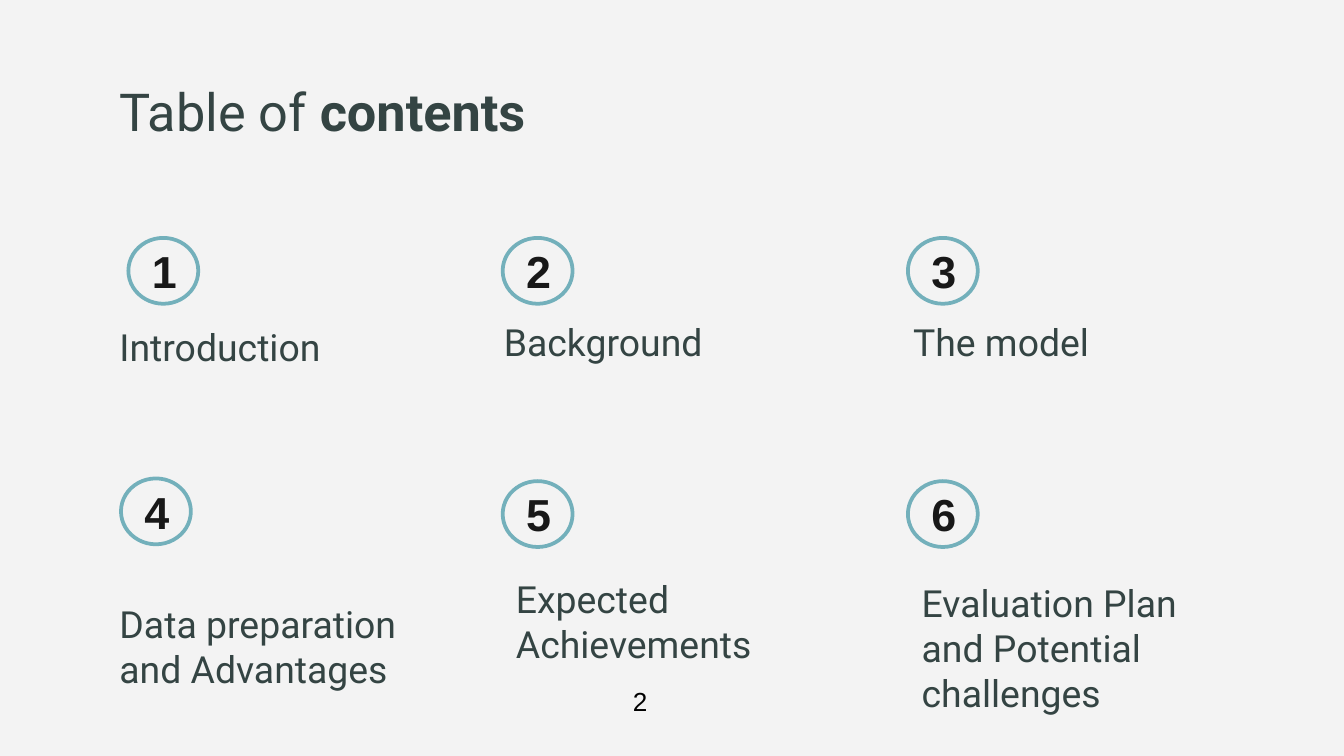
from dataclasses import dataclass

from pptx import Presentation
from pptx.dml.color import RGBColor
from pptx.enum.shapes import MSO_SHAPE as SHAPE
from pptx.enum.text import MSO_ANCHOR as ANCHOR, MSO_AUTO_SIZE as AUTO, PP_ALIGN as ALIGN
from pptx.util import Emu, Pt

PX = 4572


@dataclass(frozen=True)
class Theme:
    back: str = "F3F3F3"
    text: str = "344443"
    ring: str = "73B0BB"
    number: str = "181818"
    page: str = "000000"
    font: str = "Roboto"
    number_font: str = "Arial"
    title_size: int = 28
    label_size: int = 20
    number_size: int = 24
    page_size: int = 14
    ring_width: int = 2


def rgb(value):
    return RGBColor.from_string(value)


def px(*values):
    return [Emu(v * PX) for v in values]


def add_run(p, text, *, font, size, color, bold=False):
    r = p.add_run()
    r.text = text
    r.font.name, r.font.size, r.font.bold = font, Pt(size), bold
    r.font.color.rgb = rgb(color)


class Deck:
    def __init__(self, theme, width, height):
        self.theme = theme
        self.prs = Presentation()
        self.prs.slide_width, self.prs.slide_height = px(width, height)
        self.s = self.prs.slides.add_slide(self.prs.slide_layouts[5])
        fill = self.s.background.fill
        fill.solid()
        fill.fore_color.rgb = rgb(theme.back)

    def frame(self, sp, anchor, inset=20):
        tf = sp.text_frame
        tf.word_wrap, tf.auto_size, tf.vertical_anchor = True, AUTO.NONE, anchor
        tf.margin_left, tf.margin_right, tf.margin_top, tf.margin_bottom = px(20, 20, inset, inset)
        return tf

    def title(self, box, *parts):
        t, sp = self.theme, self.s.shapes.title
        sp.left, sp.top, sp.width, sp.height = px(*box)
        p = self.frame(sp, ANCHOR.TOP).paragraphs[0]
        p.alignment = ALIGN.LEFT
        for text, bold in parts:
            add_run(p, text, font=t.font, size=t.title_size, color=t.text, bold=bold)

    def label(self, box, text):
        t = self.theme
        tf = self.frame(self.s.shapes.add_textbox(*px(*box)), ANCHOR.BOTTOM)
        for i, line in enumerate(text.split("\n")):
            p = tf.add_paragraph() if i else tf.paragraphs[0]
            add_run(p, line, font=t.font, size=t.label_size, color=t.text)

    def badge(self, x, y, number):
        t = self.theme
        sp = self.s.shapes.add_shape(SHAPE.OVAL, *px(x, y, 104, 98))
        sp.shadow.inherit = False
        sp.fill.solid()
        sp.fill.fore_color.rgb = rgb(t.back)
        sp.line.color.rgb, sp.line.width = rgb(t.ring), Pt(t.ring_width)
        p = self.frame(sp, ANCHOR.MIDDLE, 10).paragraphs[0]
        p.alignment = ALIGN.CENTER
        add_run(p, str(number), font=t.number_font, size=t.number_size, color=t.number, bold=True)

    def page_number(self, box, number):
        t = self.theme
        tf = self.frame(self.s.shapes.add_textbox(*px(*box)), ANCHOR.TOP, 10)
        add_run(tf.paragraphs[0], str(number), font=t.number_font, size=t.page_size, color=t.page)


TOPICS = [
    ((191, 354), (158, 461, 504, 108), "Introduction"),
    ((748, 354), (730, 466, 504, 96), "Background"),
    ((1351, 354), (1339, 466, 504, 96), "The model"),
    ((180, 712), (158, 760, 504, 288), "Data preparation and Advantages"),
    ((748, 716), (748, 847, 504, 164), "Expected Achievements"),
    ((1351, 716), (1352, 842, 468, 242), "Evaluation Plan\nand Potential challenges"),
]


def main():
    deck = Deck(Theme(), 2000, 1125)
    deck.title((158, 98, 1686, 126), ("Table of ", False), ("contents", True))
    for number, (spot, box, text) in enumerate(TOPICS, 1):
        deck.label(box, text)
        deck.badge(*spot, number)
    deck.page_number((922, 1010, 58, 68), 2)
    deck.prs.save("out.pptx")


if __name__ == "__main__":
    main()
